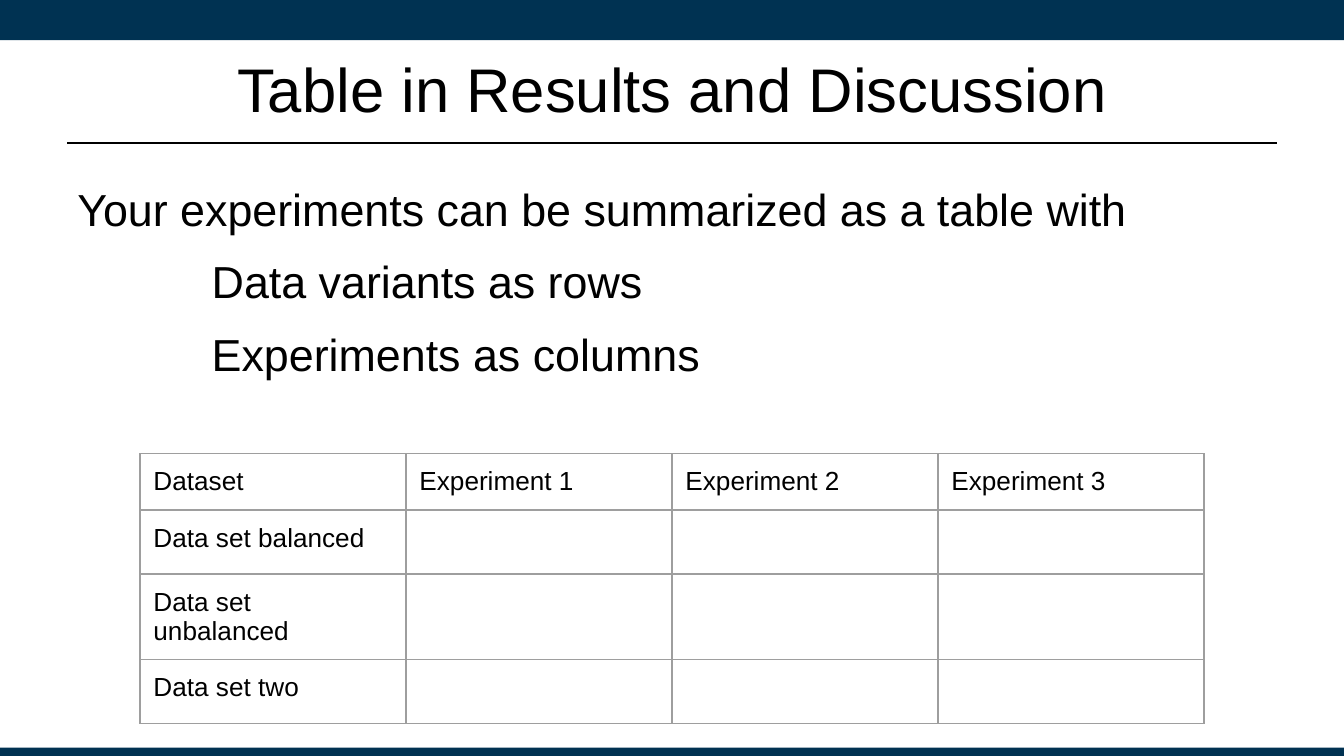
from lxml import etree
from pptx import Presentation
from pptx import util as u
from pptx.dml import color
from pptx.enum import shapes, text
from pptx.oxml import ns

Pt = u.Pt
NAVY = color.RGBColor(0x00, 0x32, 0x52)
BLACK = color.RGBColor(0x00, 0x00, 0x00)
GRAY = color.RGBColor(0x9E, 0x9E, 0x9E)
WIDE, HIGH = 720, 405
EDGE = 36


class Deck:
    font = "Arial"

    def __init__(self):
        self.prs = Presentation()
        self.prs.slide_width = Pt(WIDE)
        self.prs.slide_height = Pt(HIGH)
        self.slide = self.prs.slides.add_slide(self.prs.slide_layouts[1])

    def run(self, para, words, size):
        run = para.add_run()
        run.text = words
        run.font.name = self.font
        run.font.size = Pt(size)
        run.font.color.rgb = BLACK

    def bar(self, top, high):
        box = self.slide.shapes.add_shape(
            shapes.MSO_SHAPE.RECTANGLE, 0, Pt(top), Pt(WIDE), Pt(high))
        box.shadow.inherit = False
        box.fill.solid()
        box.fill.fore_color.rgb = NAVY
        box.line.fill.background()

    def rule(self, top):
        line = self.slide.shapes.add_connector(
            shapes.MSO_CONNECTOR.STRAIGHT, Pt(EDGE), Pt(top), Pt(WIDE - EDGE), Pt(top))
        line.line.color.rgb = BLACK
        line.line.width = Pt(1.25)
        etree.SubElement(line._element.spPr, ns.qn("a:effectLst"))

    def frame(self, hold, top, high, anchor):
        hold.left, hold.top = Pt(EDGE), Pt(top)
        hold.width, hold.height = Pt(WIDE - 2 * EDGE), Pt(high)
        frame = hold.text_frame
        frame.word_wrap = True
        frame.auto_size = text.MSO_AUTO_SIZE.NONE
        frame.vertical_anchor = anchor
        frame.margin_left = frame.margin_right = Pt(5.4)
        frame.margin_top = frame.margin_bottom = Pt(2.7)
        return frame

    def title(self, words):
        frame = self.frame(self.slide.shapes.title, 13.5, 67.5, text.MSO_ANCHOR.MIDDLE)
        para = frame.paragraphs[0]
        para.alignment = text.PP_ALIGN.CENTER
        self.run(para, words, 33)

    def body(self, lines):
        frame = self.frame(self.slide.placeholders[1], 94.5, 267, text.MSO_ANCHOR.TOP)
        for i, (words, left, before, after) in enumerate(lines):
            para = frame.paragraphs[0] if i == 0 else frame.add_paragraph()
            para.space_before, para.space_after = Pt(before), Pt(after)
            props = para._p.get_or_add_pPr()
            props.set("marL", str(Pt(left)))
            props.set("indent", "0")
            etree.SubElement(props, ns.qn("a:buNone"))
            self.run(para, words, 24)

    def border(self, cell):
        props = cell._tc.get_or_add_tcPr()
        for i, side in enumerate(("lnL", "lnR", "lnT", "lnB")):
            line = etree.Element(ns.qn("a:" + side), w=str(Pt(0.75)))
            fill = etree.SubElement(line, ns.qn("a:solidFill"))
            etree.SubElement(fill, ns.qn("a:srgbClr"), val=str(GRAY))
            props.insert(i, line)

    def table(self, rows, left, top, wide, highs):
        cols = len(rows[0])
        grid = self.slide.shapes.add_table(
            len(rows), cols, Pt(left), Pt(top), Pt(wide * cols), Pt(sum(highs))).table
        grid.first_row = grid.horz_banding = False
        for col in grid.columns:
            col.width = Pt(wide)
        for r, (row, high) in enumerate(zip(rows, highs)):
            grid.rows[r].height = Pt(high)
            for c, words in enumerate(row):
                cell = grid.cell(r, c)
                cell.fill.background()
                cell.margin_left = cell.margin_right = Pt(7.2)
                cell.margin_top = cell.margin_bottom = Pt(7.2)
                self.border(cell)
                para = cell.text_frame.paragraphs[0]
                para.font.size = Pt(14)
                if words:
                    self.run(para, words, 14)


def main():
    deck = Deck()
    deck.bar(0, 21.6)
    deck.bar(400.5, 4.5)
    deck.rule(76.5)
    deck.title("Table in Results and Discussion")
    deck.body([
        ("Your experiments can be summarized as a table with", 0, 5, 0),
        ("Data variants as rows", 72, 10, 0),
        ("Experiments as columns", 72, 10, 10),
    ])
    heads = ["Dataset"] + [f"Experiment {n}" for n in range(1, 4)]
    names = ["Data set balanced", "Data set unbalanced", "Data set two"]
    rows = [heads] + [[name, "", "", ""] for name in names]
    deck.table(rows, 75, 243, 142.5, [30, 34.3, 46, 34.3])
    deck.prs.save("out.pptx")


if __name__ == "__main__":
    main()
